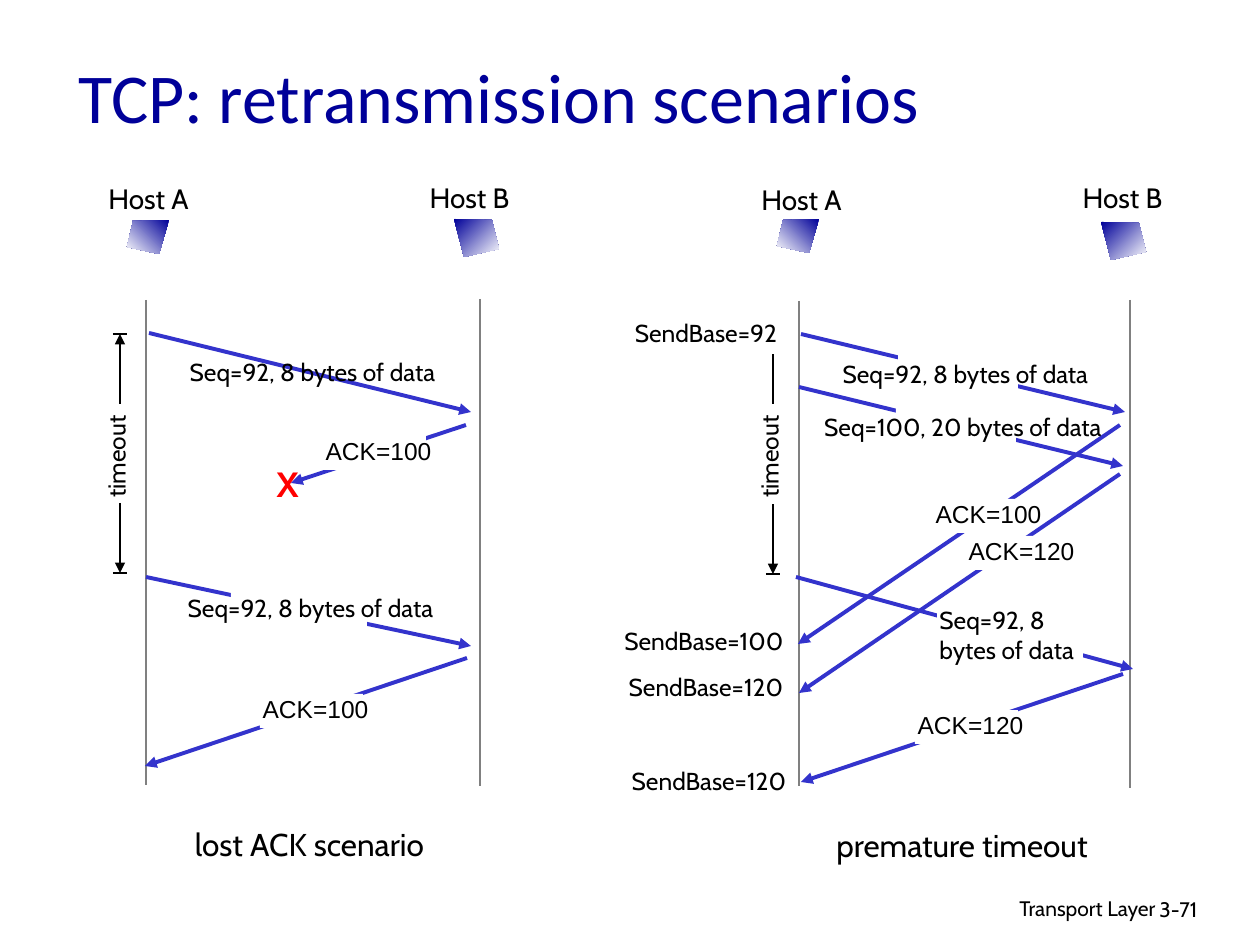
from lxml.etree import SubElement
from pptx import Presentation
from pptx.dml.color import RGBColor
from pptx.enum.shapes import MSO_CONNECTOR, MSO_SHAPE
from pptx.enum.text import MSO_ANCHOR as Anchor, PP_ALIGN as Align
from pptx.oxml.ns import qn
from pptx.util import Emu, Pt

EMU_PER_PX = 914400 / 126

NAVY = RGBColor(0x00, 0x00, 0x99)
BLUE = RGBColor(0x33, 0x33, 0xCC)
GRAY = RGBColor(0x80, 0x80, 0x80)
RED = RGBColor(0xFF, 0x00, 0x00)
BLACK = RGBColor(0x00, 0x00, 0x00)
WHITE = RGBColor(0xFF, 0xFF, 0xFF)

# Outlines of the host icons, relative to their first corner
HOST_A_OUTLINE = [(-36, 1), (-42, 27), (-10, 34)]
HOST_B_OUTLINE = [(38, 1), (45, 30), (10, 38)]
TOWARD_LOWER_LEFT, TOWARD_LOWER_RIGHT = 225, 315

SEQ_92 = "Seq=92, 8 bytes of data"


def px(*lengths):
    return [Emu(round(length * EMU_PER_PX)) for length in lengths]


class SequenceSlide:
    def __init__(self, slide):
        self.shapes = slide.shapes
        self.font = "Cabin"

    def title(self, text, box):
        title = self.shapes.title
        title.left, title.top, title.width, title.height = px(*box)
        title.text_frame.vertical_anchor = Anchor.MIDDLE
        self.set_text(title.text_frame, [text], 40, Align.LEFT, NAVY, "Calibri")

    def set_text(self, frame, lines, size, align, color=BLACK, font=None, bold=None):
        frame.text = "\n".join(lines)
        for paragraph in frame.paragraphs:
            paragraph.alignment = align
            paragraph.font.name = font or self.font
            paragraph.font.size = Pt(size)
            paragraph.font.color.rgb = color
            paragraph.font.bold = bold

    def text(self, lines, box, size=14, align=Align.LEFT, wrap=False, **style):
        textbox = self.shapes.add_textbox(*px(*box))
        textbox.text_frame.word_wrap = wrap
        self.set_text(textbox.text_frame, lines, size, align, **style)
        return textbox

    def label(self, text, center, width, size=14, **style):
        """One centred line in a box whose height follows the text size."""
        x, y = center
        height = round(2.1 * size + 13)
        box = (x - width // 2, y - height // 2, width, height)
        return self.text([text], box, size, Align.CENTER, **style)

    def line(self, start, end, color=BLACK, weight=0.75, arrow=False):
        connector = self.shapes.add_connector(
            MSO_CONNECTOR.STRAIGHT, *px(*start, *end))
        connector.line.color.rgb = color
        connector.line.width = Pt(weight)
        if arrow:
            SubElement(connector.get_or_add_ln(), qn("a:tailEnd"), type="triangle")
        SubElement(connector._element.spPr, qn("a:effectLst"))

    def message(self, start, end):
        self.line(start, end, BLUE, 2.25, arrow=True)

    def patch(self, box):
        """White area that interrupts an arrow behind its label."""
        patch = self.shapes.add_shape(MSO_SHAPE.RECTANGLE, *px(*box))
        patch.shadow.inherit = False
        patch.fill.solid()
        patch.fill.fore_color.rgb = WHITE
        patch.line.fill.background()

    def segment(self, start, end, text, center, width=287, patch=None, font=None):
        self.message(start, end)
        if patch:
            self.patch(patch)
        self.label(text, center, width, font=font)

    def ack(self, start, end, number, center):
        x, y = center
        self.segment(start, end, f"ACK={number}", center, 131,
                     (x - 55, y - 15, 103, 34), "Arial")

    def host(self, name, center, corner, outline, angle):
        self.label(name, center, 107, 16)
        x, y = corner
        builder = self.shapes.build_freeform(x, y, scale=EMU_PER_PX)
        builder.add_line_segments([(x + dx, y + dy) for dx, dy in outline])
        icon = builder.convert_to_shape()
        icon.shadow.inherit = False
        icon.line.fill.background()
        icon.fill.gradient()
        icon.fill.gradient_angle = angle
        for stop, color in zip(icon.fill.gradient_stops, (NAVY, WHITE)):
            stop.color.rgb = color

    def lifelines(self, *lines):
        for x, top, bottom in lines:
            self.line((x, top), (x, bottom), GRAY)

    def timeout(self, x, top, bottom, bars):
        """Interval marked by arrows away from its name, with end bars."""
        self.line((x, top + 70), (x, top), arrow=True)
        self.line((x, bottom - 70), (x, bottom), arrow=True)
        for y in bars:
            self.line((x - 7, y), (x + 7, y))
        name = self.text(["timeout"], (x - 25, top + 75, 54, 95),
                         align=Align.CENTER)
        name.text_frame._txBody.bodyPr.set("vert", "vert270")


def draw_lost_ack(scene):
    scene.host("Host A", (148, 198), (169, 220), HOST_A_OUTLINE, TOWARD_LOWER_LEFT)
    scene.host("Host B", (469, 197), (454, 219), HOST_B_OUTLINE, TOWARD_LOWER_RIGHT)
    scene.lifelines((146, 300, 785), (480, 299, 786))
    scene.segment((149, 333), (471, 412), SEQ_92, (312, 372))
    scene.ack((466, 425), (291, 483), 100, (378, 451))
    scene.segment((146, 577), (471, 646), SEQ_92, (310, 608),
                  patch=(231, 576, 136, 59))
    scene.ack((467, 658), (145, 766), 100, (315, 709))
    scene.label("X", (287, 483), 49, 20, color=RED, bold=True)
    scene.timeout(120, 334, 573, bars=(334, 573))
    scene.label("lost ACK scenario", (309, 844), 265, 18)


def draw_premature_timeout(scene):
    scene.host("Host A", (801, 199), (819, 219), HOST_A_OUTLINE, TOWARD_LOWER_LEFT)
    scene.host("Host B", (1122, 197), (1101, 222), HOST_B_OUTLINE, TOWARD_LOWER_RIGHT)
    scene.lifelines((799, 301, 786), (1130, 300, 788))

    # Retransmission, under the acknowledgements that cross it
    scene.message((796, 577), (1133, 669))
    scene.patch((937, 593, 146, 71))
    scene.text(["Seq=92, 8", "bytes of data"], (927, 599, 168, 72))

    scene.segment((801, 334), (1125, 412), SEQ_92, (965, 374),
                  patch=(898, 345, 120, 55))
    scene.ack((1120, 425), (798, 644), 100, (988, 514))
    scene.segment((799, 387), (1123, 466), "Seq=100, 20 bytes of data",
                  (963, 427), 314, (896, 398, 120, 55))
    scene.ack((1120, 474), (799, 693), 120, (1021, 551))
    scene.ack((1123, 674), (801, 782), 120, (970, 725))

    scene.timeout(773, 334, 574, bars=(574,))
    scene.patch((619, 312, 175, 42))
    for base, center in ((92, (706, 333)), (100, (704, 641)),
                         (120, (706, 687)), (120, (709, 781))):
        scene.label(f"SendBase={base}", center, 188)
    scene.label("premature timeout", (962, 845), 286, 18)


def main():
    deck = Presentation()
    deck.slide_width, deck.slide_height = px(1260, 945)
    title_only = deck.slide_layouts[5]
    scene = SequenceSlide(deck.slides.add_slide(title_only))
    scene.title("TCP: retransmission scenarios", (66, 33, 1071, 125))
    draw_lost_ack(scene)
    draw_premature_timeout(scene)
    scene.text(["Transport Layer"], (769, 889, 399, 39), 12, Align.RIGHT, wrap=True)
    scene.text(["3-71"], (1147, 890, 93, 38), 12, wrap=True)
    deck.save("out.pptx")


if __name__ == "__main__":
    main()
